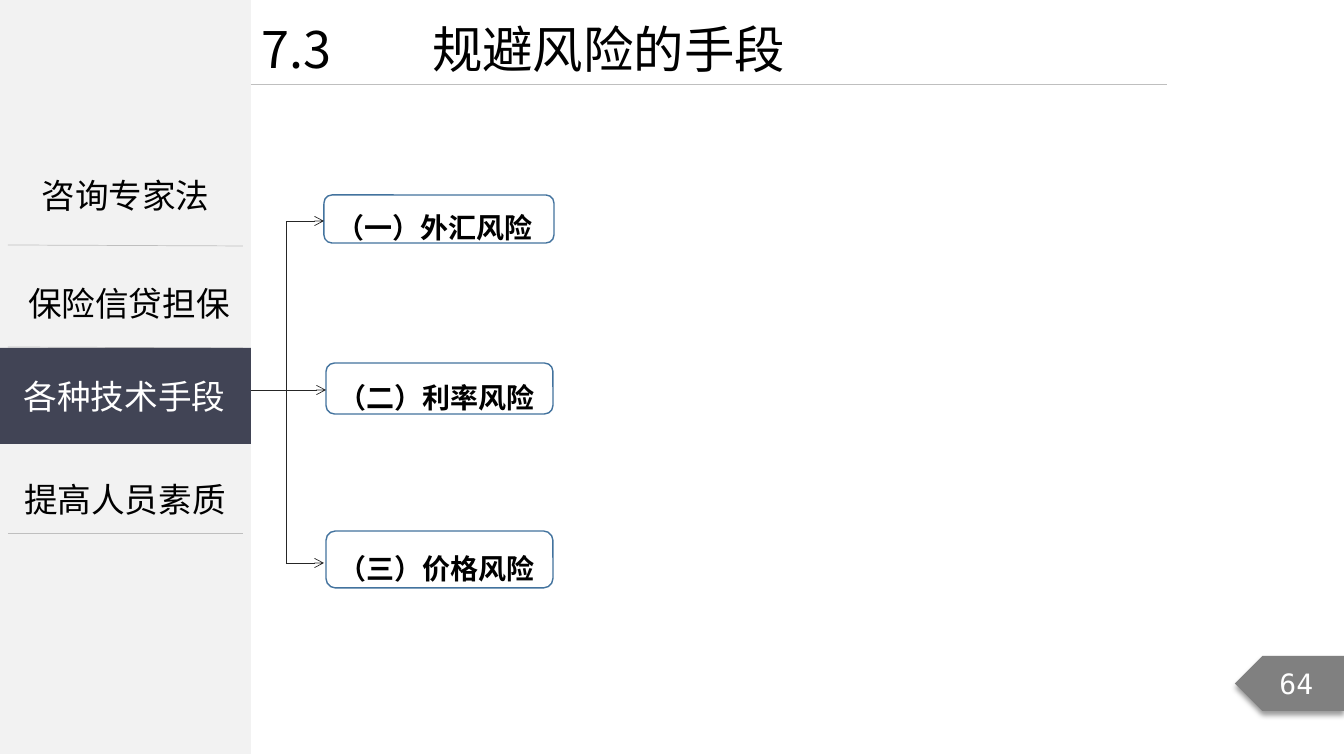
import pptx
import pptx.util
import pptx.dml.color
import pptx.enum.shapes
import pptx.enum.text
import pptx.oxml
import pptx.oxml.ns
from lxml import etree

PX = 914400 / 100.8
SANS = "Noto Sans CJK SC"
SHAPE = pptx.enum.shapes.MSO_SHAPE
ALIGN = pptx.enum.text.PP_ALIGN
ANCHOR = pptx.enum.text.MSO_ANCHOR
qn = pptx.oxml.ns.qn
rgb = pptx.dml.color.RGBColor.from_string


def px(*lengths):
    return [round(length * PX) for length in lengths]


def write(shape, text, size, color="000000", align=ALIGN.CENTER, anchor=ANCHOR.MIDDLE,
          spacing=1.0, bold=False, font=SANS):
    frame = shape.text_frame
    frame.text = text
    frame.word_wrap = True
    frame.vertical_anchor = anchor
    paragraph = frame.paragraphs[0]
    paragraph.alignment = align
    paragraph.line_spacing = spacing
    for run in paragraph.runs:
        run.font.size = pptx.util.Pt(size)
        run.font.bold = bold
        run.font.color.rgb = rgb(color)
        run.font.name = font
        etree.SubElement(run.font._element, qn("a:ea")).set("typeface", font)


deck = pptx.Presentation()
deck.slide_width, deck.slide_height = px(1344, 756)
slide = deck.slides.add_slide(deck.slide_layouts[5])
shapes = slide.shapes

title = shapes.title
title.left, title.top, title.width, title.height = px(251, 13, 711, 72)
write(title, "7.3\t规避风险的手段", 36, align=ALIGN.LEFT, anchor=ANCHOR.TOP)
title.text_frame.auto_size = pptx.enum.text.MSO_AUTO_SIZE.NONE
tabs = etree.SubElement(title.text_frame.paragraphs[0]._p.get_or_add_pPr(), qn("a:tabLst"))
etree.SubElement(tabs, qn("a:tab"), pos=str(px(171)[0]), algn="l")

panels = []
for kind, place, color in [
    (SHAPE.RECTANGLE, (-1, -2, 252, 756), "F2F2F2"),
    (SHAPE.PENTAGON, (1235, 656, 109, 55), "808080"),
    (SHAPE.RECTANGLE, (-2, 348, 253, 96), "414455"),
]:
    panel = shapes.add_shape(kind, *px(*place))
    panel.shadow.inherit = False
    panel.fill.solid()
    panel.fill.fore_color.rgb = rgb(color)
    panel.line.fill.background()
    panels.append(panel)
sidebar, page_tag, current_topic = panels

write(page_tag, "64", 20, "FFFFFF", font="DejaVu Sans Mono")
tag_properties = page_tag._element.spPr
tag_properties.find(qn("a:xfrm")).set("flipH", "1")
tag_properties.find(qn("a:effectLst")).append(pptx.oxml.parse_xml(
    f'<a:outerShdw {pptx.oxml.ns.nsdecls("a")} blurRad="50800" dist="38100" dir="5400000" '
    'algn="t" rotWithShape="0"><a:srgbClr val="000000"><a:alpha val="40000"/></a:srgbClr></a:outerShdw>'))

for topic, place, anchor, spacing in [
    ("咨询专家法", (-1, 147, 253, 97), ANCHOR.MIDDLE, 1.0),
    ("保险信贷担保", (-2, 258, 262, 65), ANCHOR.TOP, 1.5),
    ("提高人员素质", (-6, 454, 262, 65), ANCHOR.TOP, 1.5),
]:
    write(shapes.add_textbox(*px(*place)), topic, 24, anchor=anchor, spacing=spacing)

for risk, place in [
    ("（一）外汇风险", (324, 195, 230, 48)),
    ("（二）利率风险", (326, 363, 227, 51)),
    ("（三）价格风险", (326, 531, 227, 57)),
]:
    box = shapes.add_shape(SHAPE.ROUNDED_RECTANGLE, *px(*place))
    box.shadow.inherit = False
    box.fill.background()
    box.line.color.rgb = rgb("43739E")
    box.line.width = pptx.util.Pt(1)
    write(box, risk, 20, align=ALIGN.LEFT, spacing=1.5, bold=True)

RULE, BRANCH = "BFBFBF", "262626"
for ends, color, arrow in [
    ((251, 84, 1167, 84), RULE, False),
    ((8, 245, 243, 246), RULE, False),
    ((8, 347, 243, 348), RULE, False),
    ((8, 533, 243, 533), RULE, False),
    ((286, 376, 286, 221), BRANCH, False),
    ((286, 221, 324, 221), BRANCH, True),
    ((286, 563, 286, 407), BRANCH, False),
    ((286, 563, 324, 563), BRANCH, True),
    ((286, 376, 286, 407), BRANCH, False),
    ((246, 390, 290, 390), BRANCH, False),
    ((288, 390, 326, 390), BRANCH, True),
]:
    line = shapes.add_connector(pptx.enum.shapes.MSO_CONNECTOR.STRAIGHT, *px(*ends))
    line.line.color.rgb = rgb(color)
    line.line.width = pptx.util.Pt(0.5)
    if arrow:
        etree.SubElement(line.line._get_or_add_ln(), qn("a:tailEnd"), type="arrow")
    etree.SubElement(line._element.spPr, qn("a:effectLst"))

write(current_topic, "各种技术手段", 24, "FFFFFF")
shapes._spTree.append(current_topic._element)
shapes._spTree.remove(title._element)
shapes._spTree.insert(3, title._element)

deck.save("out.pptx")
